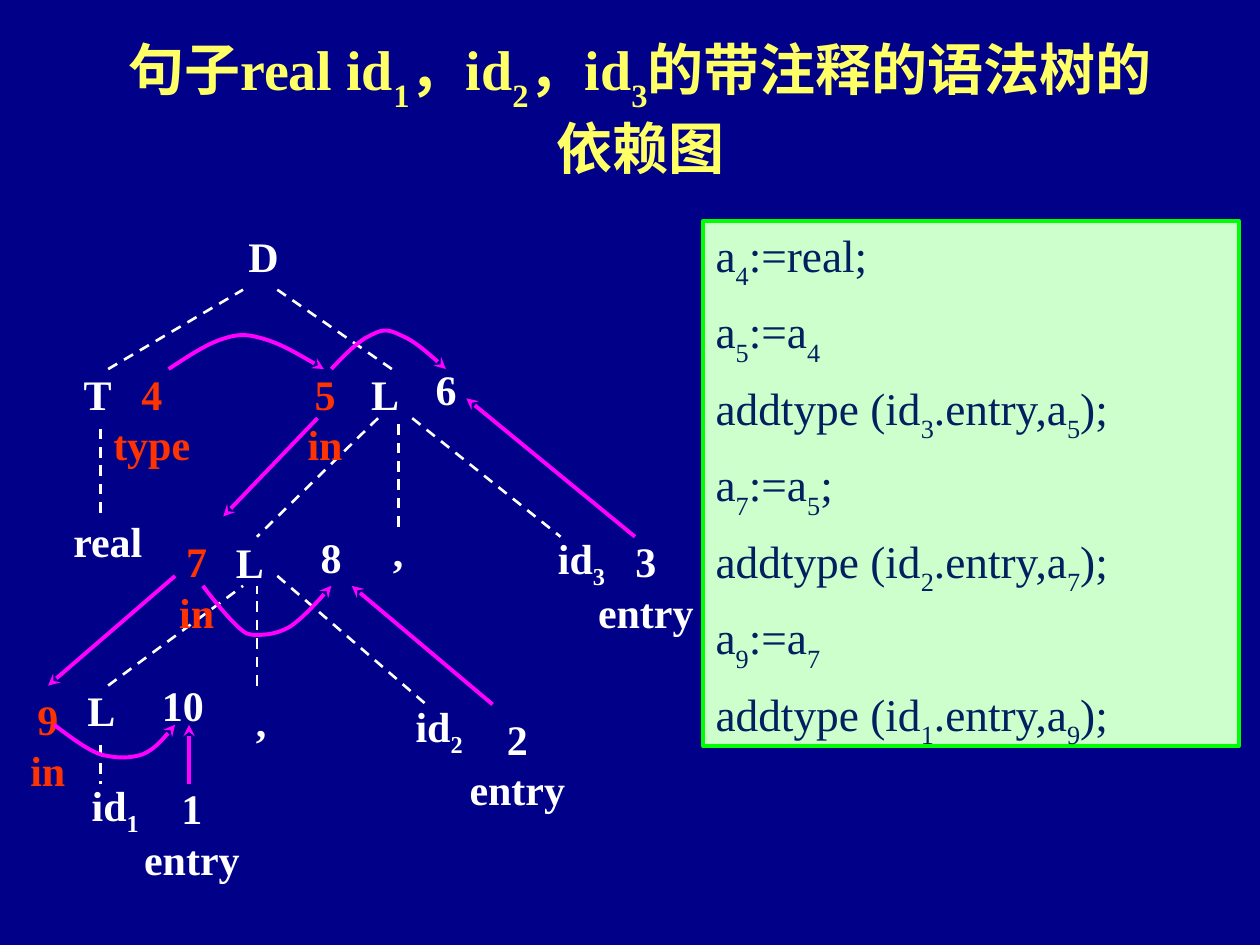
"""Build a slide with an annotated parse tree, its dependency arrows and the resulting code."""
from lxml import etree
from pptx import Presentation
from pptx.dml.color import RGBColor
from pptx.enum.dml import MSO_LINE
from pptx.enum.shapes import MSO_CONNECTOR
from pptx.enum.text import MSO_ANCHOR, MSO_AUTO_SIZE, PP_ALIGN
from pptx.oxml.ns import qn
from pptx.util import Cm, Pt

STRAIGHT = MSO_CONNECTOR.STRAIGHT
DASH = MSO_LINE.DASH
MIDDLE, TOP = MSO_ANCHOR.MIDDLE, MSO_ANCHOR.TOP
FIXED = MSO_AUTO_SIZE.NONE
CENTER, LEFT = PP_ALIGN.CENTER, PP_ALIGN.LEFT

THEME = {
    "font": "Times New Roman",
    "back": "000088", "title": "FFFF66", "tree": "FFFFFF", "attr": "FF3300",
    "flow": "FF00FF", "code": "002060", "panel": "CCFFCC", "edge": "00FF00",
    "title_pt": 32, "label_pt": 24, "code_pt": 25.9, "thin_pt": 1.5, "thick_pt": 2.25,
}

TITLE = "句子real id_1，id_2，id_3的带注释的语法树的依赖图"
CODE = [
    "a_4:=real;",
    "a_5:=a_4",
    "addtype (id_3.entry,a_5);",
    "a_7:=a_5;",
    "addtype (id_2.entry,a_7);",
    "a_9:=a_7",
    "addtype (id_1.entry,a_9);",
]

NODES = [
    ("D", 4.5, 4.45, 1.63),
    ("T", 0.13, 7.24, 3.68), ("L", 5.72, 7.24, 4.09),
    ("real", 0.13, 10.21, 4.09), ("L", 3.4, 10.62, 3.28),
    (",", 7.21, 10.41, 1.63), ("id_3", 9.68, 10.62, 4.09),
    ("L", 0, 13.61, 4.09), (",", 4.78, 13.82, 0.97), ("id_2", 6.81, 14, 4.09),
    ("id_1", 0.28, 15.6, 4.09),
]
TYPES = [(("4", "type"), 2.31, 7.24)]
INS = [(("5", "in"), 5.87, 7.44), (("7", "in"), 3.28, 10.82), (("9", "in"), 0.28, 14)]
CALLS = [("6", 8.31, 7.24), ("8", 5.99, 10.62), ("10", 3, 13.61)]
ENTRIES = [
    (("1", "entry"), 3.12, 15.6),
    (("2", "entry"), 9.68, 14.2),
    (("3", "entry"), 12.27, 10.62),
]
GROUPS = [
    (TYPES, 1.5, 2.4, "attr"),
    (INS, 1.37, 2, "attr"),
    (CALLS, 1.37, 1.2, "tree"),
    (ENTRIES, 1.5, 2.4, "tree"),
]

EDGES = [
    (2.18, 7.44, 4.9, 5.84), (5.59, 5.84, 7.9, 7.44), (2.03, 8.64, 2.03, 10.41),
    (7.62, 8.43, 5.18, 10.82), (8.03, 10.62, 8.03, 8.43), (8.31, 8.43, 11.3, 10.82),
    (2.18, 13.82, 4.9, 11.81), (5.18, 13.82, 5.18, 11.81), (5.59, 11.61, 8.59, 14.2),
    (2.03, 15.01, 2.03, 15.8),
]
ARROWS = [
    (12.8, 10.82, 9.4, 8.03), (6.4, 8.43, 4.5, 10.41), (9.93, 14.2, 7.09, 11.81),
    (3.53, 11.61, 0.97, 13.82), (3.81, 15.8, 3.81, 14.61),
]
CURVES = [
    [(3.4, 7.44), (3.78, 7.19), (4.17, 6.93), (4.5, 6.83), (4.8, 6.73),
     (4.98, 6.73), (5.31, 6.83), (5.66, 6.93), (6.1, 7.19), (6.53, 7.44)],
    [(6.68, 7.44), (6.96, 7.14), (7.24, 6.86), (7.47, 6.76), (7.72, 6.63),
     (7.82, 6.63), (8.08, 6.76), (8.33, 6.86), (8.66, 7.14), (8.99, 7.44)],
    [(4.09, 11.81), (4.34, 12.14), (4.6, 12.45), (4.78, 12.62), (4.95, 12.78),
     (5, 12.8), (5.18, 12.8), (5.36, 12.8), (5.61, 12.78), (5.87, 12.62),
     (6.1, 12.45), (6.4, 12.14), (6.68, 11.81)],
    [(1.09, 14.61), (1.42, 14.86), (1.75, 15.11), (2.03, 15.21), (2.34, 15.29),
     (2.62, 15.29), (2.87, 15.21), (3.1, 15.11), (3.33, 14.86), (3.53, 14.61)],
]


def color(key):
    return RGBColor.from_string(THEME[key])


def place(shape, *box):
    shape.left, shape.top, shape.width, shape.height = map(Cm, box)


def write(para, text, size, ink, bold, drop):
    first, *rest = text.split("_")
    parts = [(first, False)]
    for part in rest:
        parts += [(part[0], True), (part[1:], False)]
    for words, low in parts:
        if not words:
            continue
        run = para.add_run()
        run.text = words
        font = run.font
        font.name, font.size, font.bold = THEME["font"], Pt(THEME[size]), bold
        font.color.rgb = color(ink)
        if low:
            run._r.get_or_add_rPr().set("baseline", str(-1000 * drop))


def fill(shape, lines, size, ink, bold=True, drop=25, align=CENTER, anchor=MIDDLE, wrap=False):
    frame = shape.text_frame
    frame.auto_size, frame.word_wrap, frame.vertical_anchor = FIXED, wrap, anchor
    for i, text in enumerate(lines):
        para = frame.add_paragraph() if i else frame.paragraphs[0]
        para.alignment = align
        write(para, text, size, ink, bold, drop)
    return frame


def label(shapes, lines, left, top, wide, high, ink):
    box = shapes.add_textbox(*map(Cm, (left, top, wide, high)))
    fill(box, [lines] if isinstance(lines, str) else lines, "label_pt", ink)


def stroke(shape, ink, width, arrow):
    shape.line.color.rgb = color(ink)
    shape.line.width = Pt(THEME[width])
    if arrow:
        props = shape.element.spPr.find(qn("a:ln"))
        etree.SubElement(props, qn("a:tailEnd"), type="stealth")
    else:
        shape.line.dash_style = DASH
    etree.SubElement(shape.element.spPr, qn("a:effectLst"))


def link(shapes, ends, ink, width, arrow):
    stroke(shapes.add_connector(STRAIGHT, *map(Cm, ends)), ink, width, arrow)


def bend(shapes, points):
    start, *rest = [(Cm(x), Cm(y)) for x, y in points]
    maker = shapes.build_freeform(*start)
    maker.add_line_segments(rest, close=False)
    shape = maker.convert_to_shape()
    shape.fill.background()
    steps = list(shape.element.iter(qn("a:lnTo")))
    for i in range(0, len(steps), 3):
        cubic = etree.Element(qn("a:cubicBezTo"))
        steps[i].addprevious(cubic)
        for step in steps[i:i + 3]:
            cubic.append(step[0])
            step.getparent().remove(step)
    stroke(shape, "flow", "thick_pt", True)


def panel(body):
    place(body, 14.17, 4.45, 10.8, 10.59)
    body.fill.solid()
    body.fill.fore_color.rgb = color("panel")
    body.line.color.rgb = color("edge")
    body.line.width = Pt(THEME["thick_pt"])
    frame = fill(body, CODE, "code_pt", "code", False, 30, LEFT, TOP, True)
    for i, para in enumerate(frame.paragraphs):
        para.space_before = Pt(7 if i else 0)
        props = para._p.get_or_add_pPr()
        props.set("marL", str(Cm(0.96)))
        props.set("indent", str(-Cm(0.96)))
        etree.SubElement(props, qn("a:buNone"))


def main():
    deck = Presentation()
    deck.slide_width, deck.slide_height = Cm(25.4), Cm(19.05)
    slide = deck.slides.add_slide(deck.slide_layouts[1])
    slide.background.fill.solid()
    slide.background.fill.fore_color.rgb = color("back")
    title, body = slide.placeholders
    place(title, 2.11, 0.64, 21.59, 3.07)
    fill(title, [TITLE], "title_pt", "title", drop=30, wrap=True)
    tree = slide.shapes.add_group_shape().shapes
    for text, left, top, wide in NODES:
        label(tree, text, left, top, wide, 1.4, "tree")
    for ends in EDGES:
        link(tree, ends, "tree", "thin_pt", False)
    for items, wide, high, ink in GROUPS:
        for lines, left, top in items:
            label(tree, lines, left, top, wide, high, ink)
    for points in CURVES:
        bend(tree, points)
    for ends in ARROWS:
        link(tree, ends, "flow", "thick_pt", True)
    panel(body)
    deck.save("out.pptx")


if __name__ == "__main__":
    main()
